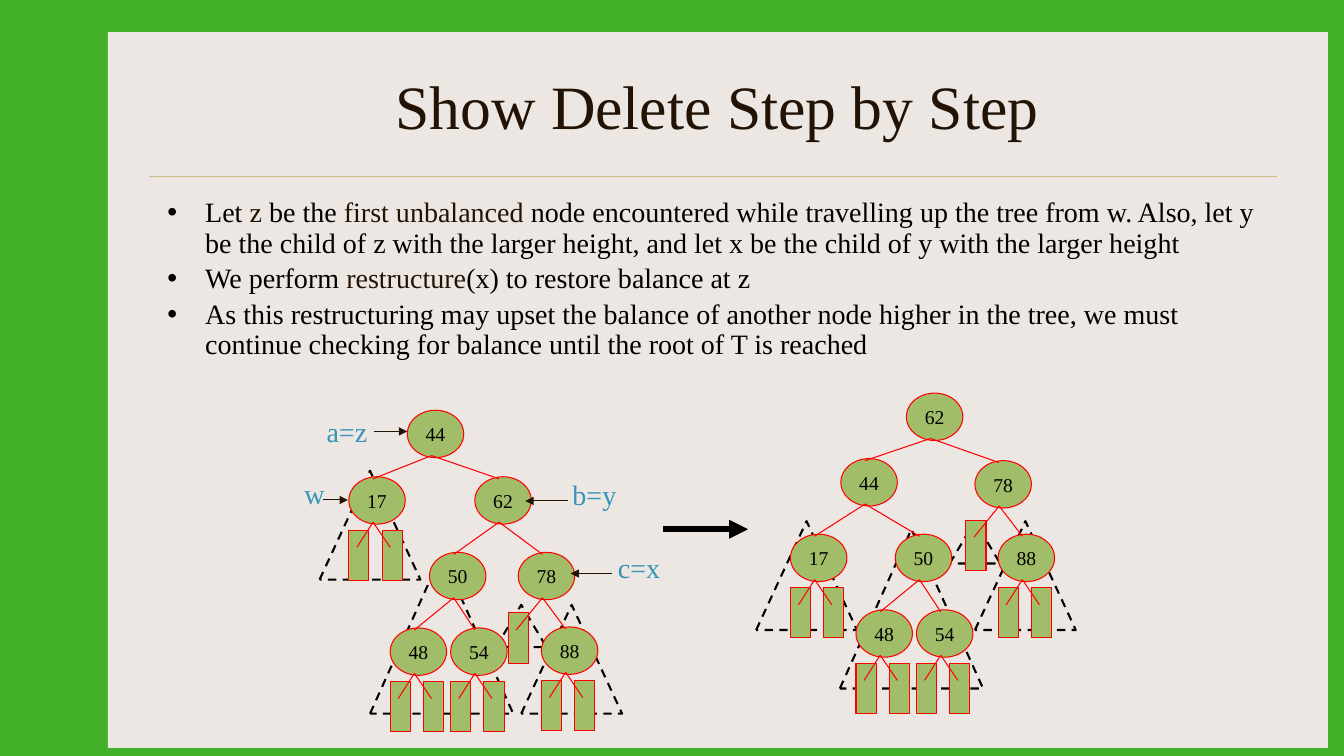
from dataclasses import dataclass

from lxml import etree
from pptx import Presentation
from pptx.dml import color as col
from pptx.enum import dml, shapes, text
from pptx.oxml import ns
from pptx.util import Inches, Pt


@dataclass(frozen=True)
class Theme:
    font: str = "Times New Roman"
    green: str = "43B02A"
    paper: str = "EDE7E3"
    rule: str = "CBBD83"
    ink: str = "221304"
    black: str = "000000"
    leaf: str = "A1BD69"
    red: str = "FF0000"
    blue: str = "3694B6"
    head: int = 44
    body: int = 20
    key: int = 14


@dataclass(frozen=True)
class Node:
    key: str
    x: float
    y: float
    kids: tuple[str, ...] = ()
    leaves: bool = False  # a pair of leaves below


@dataclass(frozen=True)
class Box:
    x: float
    y: float
    w: float
    h: float


@dataclass(frozen=True)
class Tree:
    nodes: tuple[Node, ...]
    cones: tuple[Box, ...]  # dashed outlines of subtrees
    lone: tuple[float, float]  # single leaf below node 78


@dataclass(frozen=True)
class Label:
    words: str
    box: Box
    start: float
    end: float
    y: float


T = Theme()

BEFORE = Tree(
    nodes=(
        Node("44", 4.04, 4.07, ("17", "62")),
        Node("17", 3.46, 4.73, leaves=True),
        Node("62", 4.71, 4.73, ("50", "78")),
        Node("50", 4.26, 5.48, ("48", "54")),
        Node("78", 5.14, 5.48, ("88",)),
        Node("48", 3.87, 6.23, leaves=True),
        Node("54", 4.47, 6.23, leaves=True),
        Node("88", 5.37, 6.22, leaves=True),
    ),
    cones=(Box(5.17, 6, 1, 1.08), Box(4.92, 6, 0.5, 0.42),
           Box(3.67, 5.5, 1.42, 1.58), Box(3.17, 4.67, 1, 1.08)),
    lone=(5.04, 6.08),
)
AFTER = Tree(
    nodes=(
        Node("62", 8.99, 3.9, ("44", "78")),
        Node("44", 8.34, 4.55, ("17", "50")),
        Node("78", 9.67, 4.57, ("88",)),
        Node("17", 7.84, 5.3, leaves=True),
        Node("50", 8.88, 5.3, ("48", "54")),
        Node("88", 9.9, 5.3, leaves=True),
        Node("48", 8.49, 6.05, leaves=True),
        Node("54", 9.09, 6.05, leaves=True),
    ),
    cones=(Box(9.67, 5.17, 1, 1.08), Box(9.42, 5.17, 0.5, 0.42),
           Box(8.33, 5.25, 1.42, 1.58), Box(7.5, 5.17, 1, 1.08)),
    lone=(9.58, 5.16),
)
LABELS = (
    Label("a=z", Box(3.14, 4.06, 0.61, 0.44), 3.71, 4.04, 4.28),
    Label("w", Box(2.92, 4.68, 0.4, 0.44), 3.2, 3.45, 4.96),
    Label("b=y", Box(5.58, 4.69, 0.64, 0.44), 5.63, 5.21, 4.97),
    Label("c=x", Box(6.03, 5.41, 0.62, 0.44), 6.07, 5.66, 5.69),
)
POINTS = (
    (("Let ", T.black), ("z", T.ink), (" be the ", T.black),
     ("first unbalanced", T.ink),
     (" node encountered while travelling up the tree from w. Also, let y be the "
      "child of z with the larger height, and let x be the child of y with the "
      "larger height", T.black)),
    (("We perform ", T.black), ("restructure", T.ink),
     ("(x) to restore balance at z", T.black)),
    (("As this restructuring may upset the balance of another node higher in the "
      "tree, we must continue checking for balance until the root of T is reached",
      T.black),),
)


def rgb(code: str) -> col.RGBColor:
    return col.RGBColor.from_string(code)


def place(item, box: Box) -> None:
    item.left, item.top = Inches(box.x), Inches(box.y)
    item.width, item.height = Inches(box.w), Inches(box.h)


def write(para, words: str, size: int, hue: str) -> None:
    run = para.add_run()
    run.text = words
    run.font.name, run.font.size = T.font, Pt(size)
    run.font.color.rgb = rgb(hue)


def shape(slide, kind, box: Box, fill: str = "", edge: str = "", width: float = 0.75):
    item = slide.shapes.add_shape(kind, 0, 0, 0, 0)
    place(item, box)
    item.shadow.inherit = False
    if fill:
        item.fill.solid()
        item.fill.fore_color.rgb = rgb(fill)
    else:
        item.fill.background()
    if edge:
        item.line.color.rgb, item.line.width = rgb(edge), Pt(width)
    else:
        item.line.fill.background()
    return item


def line(slide, start, end, hue: str, width: float = 0.75, arrow: bool = False):
    item = slide.shapes.add_connector(
        shapes.MSO_CONNECTOR.STRAIGHT, *(Inches(v) for v in (*start, *end)))
    item.line.color.rgb, item.line.width = rgb(hue), Pt(width)
    if arrow:
        etree.SubElement(item.line._get_or_add_ln(), ns.qn("a:tailEnd"), type="triangle")
    etree.SubElement(item.element.spPr, ns.qn("a:effectLst"))
    return item


def draw(slide, tree: Tree) -> None:
    # Subtree outlines
    for cone in tree.cones:
        item = shape(slide, shapes.MSO_SHAPE.ISOSCELES_TRIANGLE, cone, "", T.black, 1.5)
        item.line.dash_style = dml.MSO_LINE.DASH
    # Nodes
    for node in tree.nodes:
        item = shape(slide, shapes.MSO_SHAPE.OVAL, Box(node.x, node.y, 0.56, 0.47),
                     T.leaf, T.red)
        frame = item.text_frame
        frame.word_wrap = False
        frame.vertical_anchor = text.MSO_ANCHOR.MIDDLE
        frame.paragraphs[0].alignment = text.PP_ALIGN.CENTER
        write(frame.paragraphs[0], node.key, T.key, T.black)
    # Leaves and edges
    found = {node.key: node for node in tree.nodes}
    for node in tree.nodes:
        base = (node.x + 0.24, node.y + 0.45)
        spots = [(node.x + step, node.y + 0.53) for step in (0, 0.33) if node.leaves]
        if node.key == "78":
            spots.append(tree.lone)
        for x, y in spots:
            shape(slide, shapes.MSO_SHAPE.RECTANGLE, Box(x, y, 0.2, 0.5), T.leaf, T.red)
            line(slide, base, (x + 0.08, y + 0.17), T.red)
        for kid in (found[key] for key in node.kids):
            line(slide, base, (kid.x + 0.24, kid.y + 0.02), T.red)


def main() -> None:
    deck = Presentation()
    deck.slide_width, deck.slide_height = Inches(13.33), Inches(7.5)
    slide = deck.slides.add_slide(deck.slide_layouts[1])
    title, body = slide.placeholders

    # Backdrop, behind the placeholders
    slide.background.fill.solid()
    slide.background.fill.fore_color.rgb = rgb(T.green)
    panel = shape(slide, shapes.MSO_SHAPE.RECTANGLE, Box(1.07, 0.32, 12.1, 7.1), T.paper)
    rule = line(slide, (1.48, 1.75), (12.67, 1.75), T.rule, 0.25)
    for back in (panel, rule):
        title.element.addprevious(back.element)

    # Title
    place(title, Box(1.56, 0.42, 11.11, 1.25))
    title.text_frame.vertical_anchor = text.MSO_ANCHOR.MIDDLE
    head = title.text_frame.paragraphs[0]
    head.alignment = text.PP_ALIGN.CENTER
    write(head, "Show Delete Step by Step", T.head, T.ink)

    # Bullet list
    place(body, Box(1.56, 1.92, 11.11, 4.5))
    frame = body.text_frame
    frame.auto_size = text.MSO_AUTO_SIZE.NONE
    for i, point in enumerate(POINTS):
        para = frame.add_paragraph() if i else frame.paragraphs[0]
        para.line_spacing = 0.9
        para.space_before = Pt(4 if i else 0)
        for words, hue in point:
            write(para, words, T.body, hue)

    # Trees and the step between them
    for tree in (BEFORE, AFTER):
        draw(slide, tree)
    line(slide, (6.58, 5.25), (7.42, 5.25), T.black, 4.5, True)

    # Labels with pointers
    for label in LABELS:
        note = slide.shapes.add_textbox(0, 0, 0, 0)
        place(note, label.box)
        note.text_frame.word_wrap = False
        write(note.text_frame.paragraphs[0], label.words, T.body, T.blue)
        line(slide, (label.start, label.y), (label.end, label.y), T.ink, arrow=True)

    deck.save("out.pptx")


if __name__ == "__main__":
    main()
